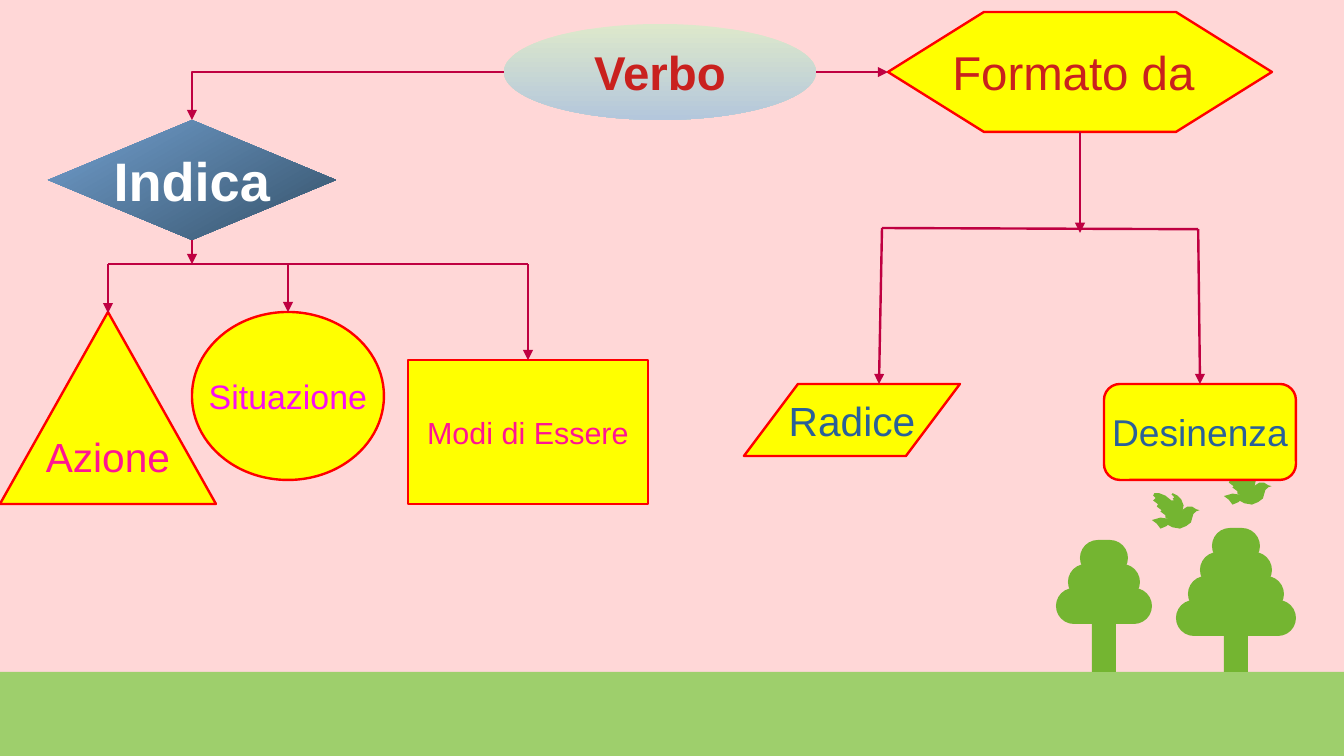
from dataclasses import dataclass
from lxml.etree import SubElement
from pptx import Presentation
from pptx.dml.color import RGBColor
from pptx.enum.shapes import MSO_CONNECTOR, MSO_SHAPE
from pptx.enum.text import MSO_ANCHOR, PP_ALIGN
from pptx.oxml.ns import qn
from pptx.util import Cm, Emu, Inches, Pt

COLS, ROWS = 112, 63
CELL = Cm(0.25)
SKY, GRASS, LEAF = "FFD7D7", "9ECF6C", "74B531"
YELLOW, RED, ARROW = "FFFF00", "FF0000", "BF0041"
LINE_WIDTH = Pt(1.42)

BIRD = [
    [(24, 6), (21, 3), (17, 1), (16, 2), (18, 4), (18, 5), (17, 5), (18, 7),
     (16, 7), (18, 12), (20, 16), (25, 18), (25, 16), (25.5, 11)],
    [(29, 12), (26, 13.5), (24, 16), (19, 11), (16, 7), (11, 3), (6, 1), (2, 1),
     (1, 3), (3, 5), (1, 7), (5, 10), (4, 12), (8, 15), (7, 16), (11, 19),
     (11, 21), (14, 22), (7, 21), (0, 23), (4, 26), (7, 30), (12, 28), (13, 27),
     (17, 29), (23, 29.5), (28, 28), (32, 25), (34, 18), (36, 16), (36, 14),
     (33, 12)],
    [(36, 14), (35, 14), (35, 17), (36, 16), (39, 15)],
]


@dataclass
class Tree:
    col: int
    row: int
    tiers: int


@dataclass
class Node:
    text: str
    kind: MSO_SHAPE
    box: tuple[float, float, float, float]
    size: int
    color: str
    adj: float | None = None
    gradient: tuple[str, str, int] | None = None
    bold: bool = False


@dataclass
class Link:
    start: tuple[float, float]
    end: tuple[float, float]
    arrow: bool = True
    bent: bool = False


TREES = [Tree(103, 44, 4), Tree(92, 45, 3)]
BIRDS = [(96, 41), (102, 39)]

NODES = [
    Node("Verbo", MSO_SHAPE.OVAL, (42, 2, 26, 8), 28, "C9211E",
         gradient=("DDE8CB", "B4C7DC", 90), bold=True),
    Node("Indica", MSO_SHAPE.DIAMOND, (4, 10, 24, 10), 32, "FFFFFF",
         gradient=("729FCF", "355269", 60), bold=True),
    Node("Formato da ", MSO_SHAPE.HEXAGON, (74, 1, 32, 10), 28, "C9211E", adj=0.8),
    Node("Azione", MSO_SHAPE.ISOSCELES_TRIANGLE, (0, 26, 18, 16), 24, "FF1493"),
    Node("Situazione", MSO_SHAPE.OVAL, (16, 26, 16, 14), 20, "F80DF2"),
    Node("Modi di Essere", MSO_SHAPE.RECTANGLE, (34, 30, 20, 12), 18, "FF1493"),
    Node("Radice", MSO_SHAPE.PARALLELOGRAM, (62, 32, 18, 6), 24, "2A6099", adj=0.75),
    Node("Desinenza", MSO_SHAPE.ROUNDED_RECTANGLE, (92, 32, 16, 8), 22, "2A6099"),
]

LINKS = [
    Link((42, 6), (16, 10), bent=True),
    Link((68, 6), (74, 6)),
    Link((16, 20), (16, 22)),
    Link((9, 22), (44, 22), arrow=False),
    Link((9, 22), (9, 26.1)),
    Link((24, 22), (24, 26)),
    Link((44, 22), (44, 30)),
    Link((90, 11), (90, 19.4)),
    Link((73.5, 19), (99.85, 19.1), arrow=False),
    Link((73.5, 19), (73.25, 32)),
    Link((99.85, 19.1), (100, 32)),
]


def grid(n: float) -> Emu:
    return Emu(round(n * CELL))


def paint(fmt, color: str) -> None:
    fmt.solid()
    fmt.fore_color.rgb = RGBColor.from_string(color)


def add_flat(s, kind, box, color: str, adj: float | None = None):
    sp = s.shapes.add_shape(kind, *map(grid, box))
    sp.shadow.inherit = False
    paint(sp.fill, color)
    sp.line.fill.background()
    if adj is not None:
        sp.adjustments[0] = adj
    return sp


def write(sp, text: str, *, size: int, color: str, bold: bool = False) -> None:
    tf = sp.text_frame
    tf.word_wrap = False
    tf.vertical_anchor = MSO_ANCHOR.MIDDLE
    p = tf.paragraphs[0]
    p.alignment = PP_ALIGN.CENTER
    r = p.add_run()
    r.text = text
    r.font.name = "Arial"
    r.font.size = Pt(size)
    r.font.bold = bold
    paint(r.font.fill, color)


def add_tree(s, tree: Tree) -> None:
    top = tree.row + 2
    add_flat(s, MSO_SHAPE.RECTANGLE, (tree.col - 1, top, 2, 56 - top), LEAF)
    for i in reversed(range(tree.tiers)):
        box = (tree.col - 2 - i, tree.row + 2 * i, 4 + 2 * i, 3)
        add_flat(s, MSO_SHAPE.ROUNDED_RECTANGLE, box, LEAF, 0.5)


def add_bird(s, col: int, row: int) -> None:
    for start, *rest in BIRD:
        fb = s.shapes.build_freeform(*start, scale=Inches(0.01))
        fb.add_line_segments(rest, close=True)
        sp = fb.convert_to_shape(grid(col), grid(row))
        sp.shadow.inherit = False
        paint(sp.fill, LEAF)
        sp.line.fill.background()


def add_node(s, node: Node) -> None:
    sp = add_flat(s, node.kind, node.box, YELLOW, node.adj)
    if node.gradient:
        *colors, angle = node.gradient
        sp.fill.gradient()
        sp.fill.gradient_angle = 360 - angle
        for stop, color in zip(sp.fill.gradient_stops, colors):
            stop.color.rgb = RGBColor.from_string(color)
    else:
        paint(sp.line.fill, RED)
        sp.line.width = LINE_WIDTH
    write(sp, node.text, size=node.size, color=node.color, bold=node.bold)


def add_link(s, link: Link) -> None:
    kind = MSO_CONNECTOR.ELBOW if link.bent else MSO_CONNECTOR.STRAIGHT
    cx = s.shapes.add_connector(kind, *map(grid, link.start + link.end))
    paint(cx.line.fill, ARROW)
    cx.line.width = LINE_WIDTH
    props = cx._element.spPr
    if link.bent:
        props.find(qn("a:prstGeom")).set("prst", "bentConnector2")
    if link.arrow:
        SubElement(props.find(qn("a:ln")), qn("a:tailEnd"), type="triangle")
    SubElement(props, qn("a:effectLst"))


def main() -> None:
    prs = Presentation()
    prs.slide_width, prs.slide_height = grid(COLS), grid(ROWS)
    s = prs.slides.add_slide(prs.slide_layouts[6])
    paint(s.background.fill, SKY)
    add_flat(s, MSO_SHAPE.RECTANGLE, (0, 56, COLS, ROWS - 56), GRASS)
    for tree in TREES:
        add_tree(s, tree)
    for col, row in BIRDS:
        add_bird(s, col, row)
    for node in NODES:
        add_node(s, node)
    for link in LINKS:
        add_link(s, link)
    prs.save("out.pptx")


if __name__ == "__main__":
    main()
